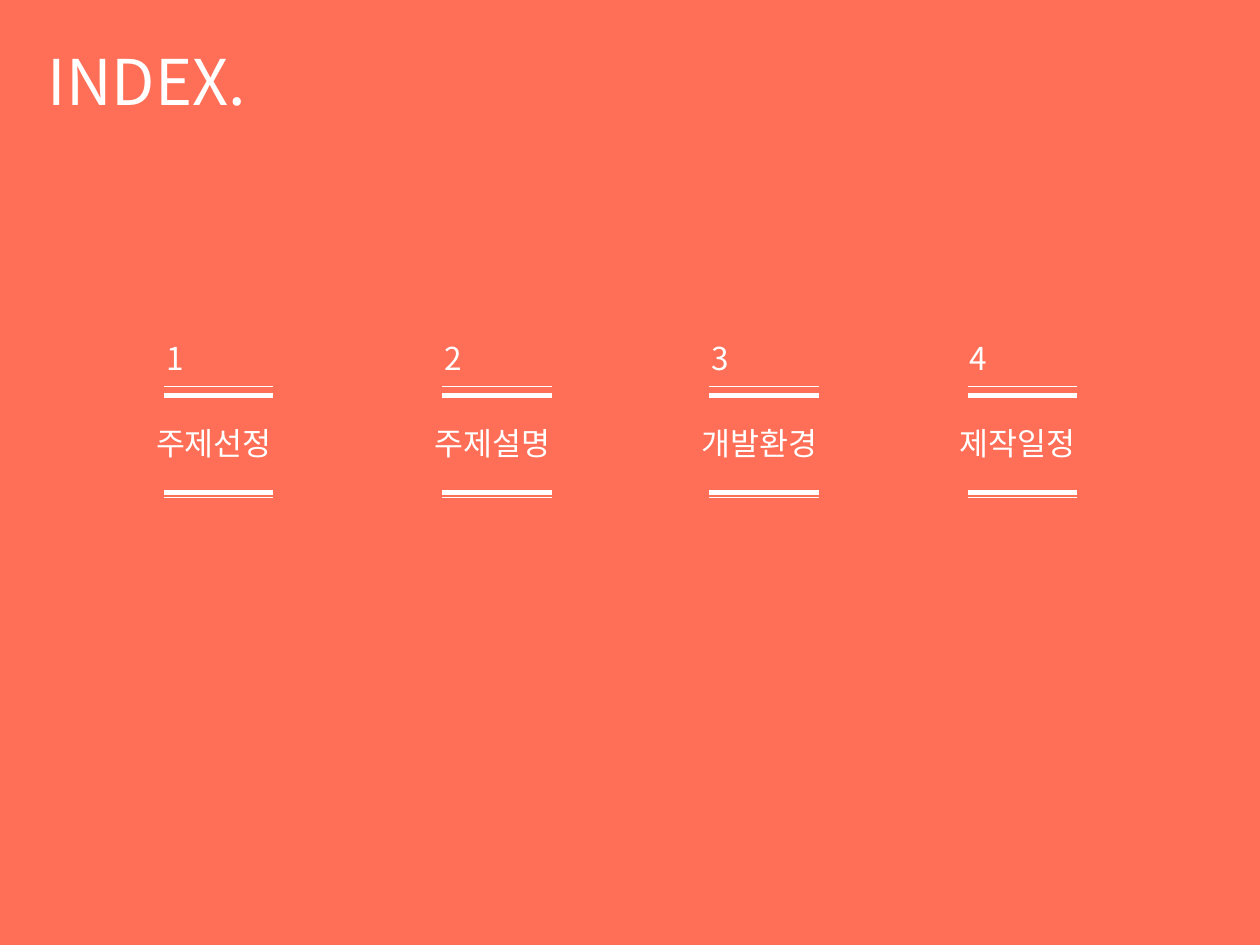
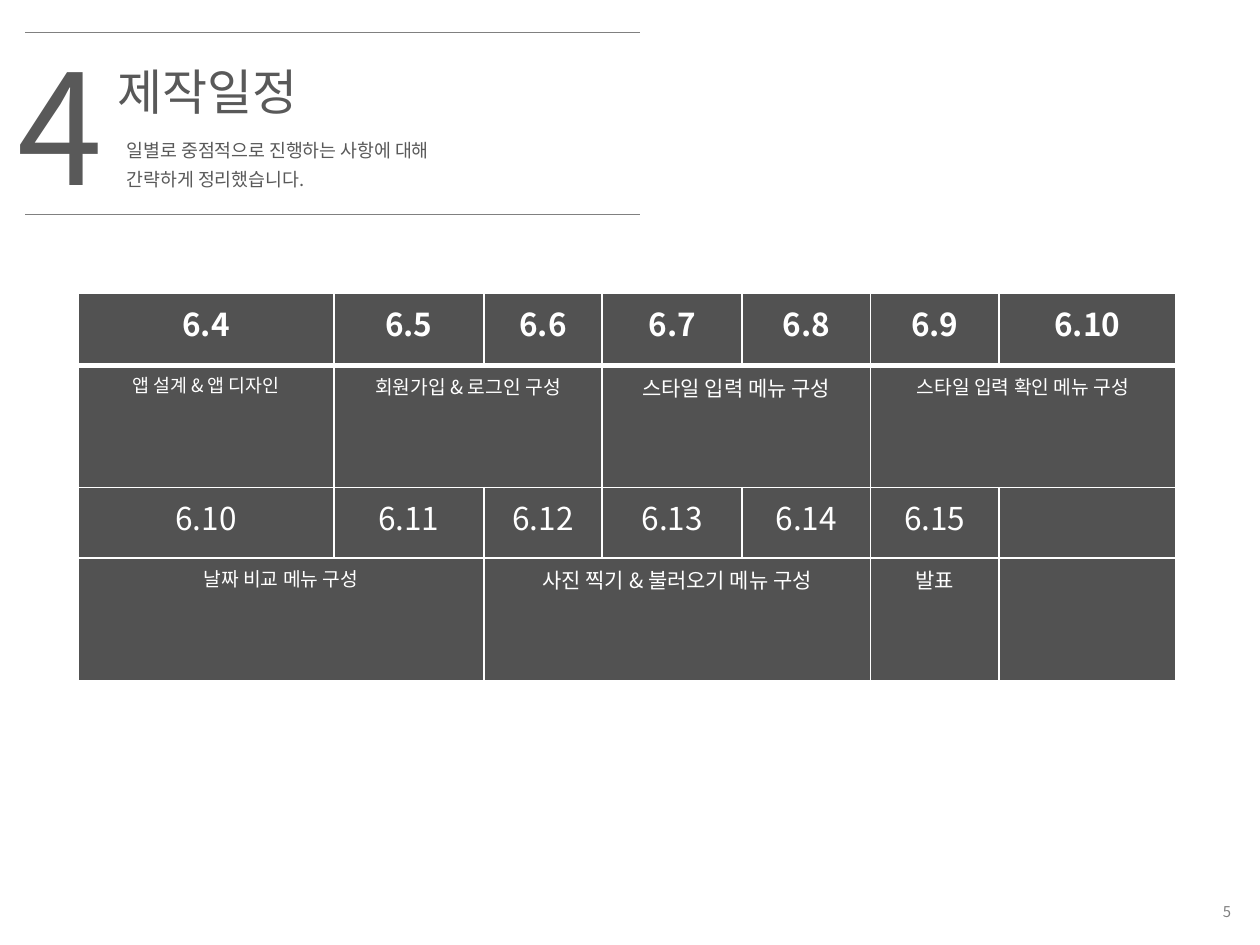
from lxml import etree
from pptx import Presentation
from pptx.dml.color import RGBColor
from pptx.enum.shapes import MSO_CONNECTOR
from pptx.enum.text import MSO_ANCHOR, MSO_AUTO_SIZE, PP_ALIGN
from pptx.oxml.ns import qn
from pptx.util import Inches, Pt

STRAIGHT = MSO_CONNECTOR.STRAIGHT
TOP, MIDDLE = MSO_ANCHOR.TOP, MSO_ANCHOR.MIDDLE
GROW, FIXED = MSO_AUTO_SIZE.SHAPE_TO_FIT_TEXT, MSO_AUTO_SIZE.NONE
LEFT, CENTER, RIGHT = PP_ALIGN.LEFT, PP_ALIGN.CENTER, PP_ALIGN.RIGHT

FONT = "Noto Sans CJK KR"
COLORS = {"coral": "FF6E57", "white": "FFFFFF", "dark": "595959",
          "gray": "808080", "black": "000000"}
TITLE_ONLY = 5

TOPICS = [(1.3, "주제선정"), (3.51, "주제설명"), (5.63, "개발환경"), (7.68, "제작일정")]
RULES = [(3.07, 0.75), (3.14, 3), (3.91, 3), (3.95, 0.75)]

COLS = [2.03, 1.19, 0.94, 1.11, 1.02, 1.02, 1.4]
ROWS = [0.57, 0.97, 0.56, 0.97]
DATES = {0: ["6.4", "6.5", "6.6", "6.7", "6.8", "6.9", "6.10"],
         2: ["6.10", "6.11", "6.12", "6.13", "6.14", "6.15"]}
# row, first column, columns spanned, size, text
TASKS = [
    (1, 0, 1, 10.5, "앱 설계 & 앱 디자인"),
    (1, 1, 2, 11, "회원가입 & 로그인 구성"),
    (1, 3, 2, 12, "스타일 입력 메뉴 구성"),
    (1, 5, 2, 11, "스타일 입력 확인 메뉴 구성"),
    (3, 0, 2, 11, "날짜 비교 메뉴 구성"),
    (3, 2, 3, 12, "사진 찍기 & 불러오기 메뉴 구성"),
    (3, 5, 1, 12, "발표"),
]


def rgb(name):
    return RGBColor.from_string(COLORS[name])


def write(frame, text, size, color, align=LEFT, bold=False, pitch=None):
    """Fill a text frame, one paragraph for each line of text."""
    for i, line in enumerate(text.split("\n")):
        para = frame.paragraphs[0] if i == 0 else frame.add_paragraph()
        para.alignment = align
        if pitch:
            para.line_spacing = Pt(pitch)
        run = para.add_run()
        run.text = line
        for key, value in {"name": FONT, "size": Pt(size), "bold": bold}.items():
            setattr(run.font, key, value)
        run.font.color.rgb = rgb(color)
        etree.SubElement(run.font._element, qn("a:ea"), typeface=FONT)


def setup(frame, anchor=TOP, fit=GROW):
    form = {"word_wrap": True, "auto_size": fit, "vertical_anchor": anchor,
            "margin_left": Inches(0.1), "margin_right": Inches(0.1),
            "margin_top": Inches(0.05), "margin_bottom": Inches(0.05)}
    for key, value in form.items():
        setattr(frame, key, value)


def add_text(slide, box, text, size, color, anchor=TOP, fit=GROW, **form):
    shape = slide.shapes.add_textbox(*map(Inches, box))
    setup(shape.text_frame, anchor, fit)
    write(shape.text_frame, text, size, color, **form)


def set_title(slide, box, text, size, color):
    title = slide.shapes.title
    for key, value in zip(("left", "top", "width", "height"), box):
        setattr(title, key, Inches(value))
    setup(title.text_frame)
    write(title.text_frame, text, size, color)


def add_rule(slide, left, top, width, weight, color):
    """Draw a level line."""
    x, y = Inches(left), Inches(top)
    line = slide.shapes.add_connector(STRAIGHT, x, y, x + Inches(width), y)
    line.line.color.rgb = rgb(color)
    line.line.width = Pt(weight)
    etree.SubElement(line._element.spPr, qn("a:effectLst"))


def add_edge(cell, side, weight):
    props = cell._tc.get_or_add_tcPr()
    edge = etree.SubElement(props, qn(f"a:ln{side}"), w=str(Pt(weight)))
    fill = etree.SubElement(edge, qn("a:solidFill"))
    etree.SubElement(fill, qn("a:srgbClr"), val=COLORS["white"])


def style_cell(cell, row):
    """Give a cell white edges, thick under the header, and a sheer black fill."""
    thick = {0: "B", 1: "T"}.get(row)
    for side in "LRTB":
        add_edge(cell, side, 3 if side == thick else 1)
    cell.fill.solid()
    cell.fill.fore_color.rgb = rgb("black")
    tint = cell._tc.tcPr.find(f"{qn('a:solidFill')}/{qn('a:srgbClr')}")
    etree.SubElement(tint, qn("a:alpha"), val="68000")


def add_plan(slide):
    """Build the day-by-day schedule table."""
    box = map(Inches, (0.62, 2.33, sum(COLS), sum(ROWS)))
    table = slide.shapes.add_table(len(ROWS), len(COLS), *box).table
    table.horz_banding = False
    for col, width in zip(table.columns, COLS):
        col.width = Inches(width)
    for r, height in enumerate(ROWS):
        table.rows[r].height = Inches(height)
        for c in range(len(COLS)):
            style_cell(table.cell(r, c), r)
    for r, days in DATES.items():
        for c, day in enumerate(days):
            write(table.cell(r, c).text_frame, day, 18, "white", CENTER, r == 0)
    for r, c, span, size, text in TASKS:
        cell = table.cell(r, c)
        if span > 1:
            cell.merge(table.cell(r, c + span - 1))
        write(cell.text_frame, text, size, "white", CENTER)


def add_topic(slide, left, number, label):
    add_text(slide, (left - 0.08, 2.64, 1.26, 0.4), str(number), 18, "white")
    add_text(slide, (left - 0.16, 3.32, 1.26, 0.4), label, 18, "white")
    for top, weight in RULES:
        add_rule(slide, left, top, 0.87, weight, "white")


def new_slide(deck, color):
    slide = deck.slides.add_slide(deck.slide_layouts[TITLE_ONLY])
    slide.background.fill.solid()
    slide.background.fill.fore_color.rgb = rgb(color)
    return slide


def build_index(deck):
    slide = new_slide(deck, "coral")
    set_title(slide, (0.28, 0.29, 3.39, 0.71), "INDEX.", 36, "white")
    for number, (left, label) in enumerate(TOPICS, 1):
        add_topic(slide, left, number, label)


def build_plan(deck):
    slide = new_slide(deck, "white")
    set_title(slide, (0.83, 0.44, 4.49, 0.57), "제작일정", 28, "dark")
    add_text(slide, (0.91, 0.99, 4.57, 0.58),
             "일별로 중점적으로 진행하는 사항에 대해\n간략하게 정리했습니다.",
             10.5, "dark", pitch=17)
    add_text(slide, (0.04, 0.2, 1.18, 1.58), "4", 88, "dark")
    for top in (0.26, 1.7):
        add_rule(slide, 0.2, top, 4.88, 0.75, "gray")
    add_plan(slide)
    add_text(slide, (7.76, 7.1, 2.11, 0.27), "5", 8.5, "gray",
             anchor=MIDDLE, fit=FIXED, align=RIGHT)


def main():
    deck = Presentation()
    deck.slide_width, deck.slide_height = Inches(10), Inches(7.5)
    build_index(deck)
    build_plan(deck)
    deck.save("out.pptx")


if __name__ == "__main__":
    main()
